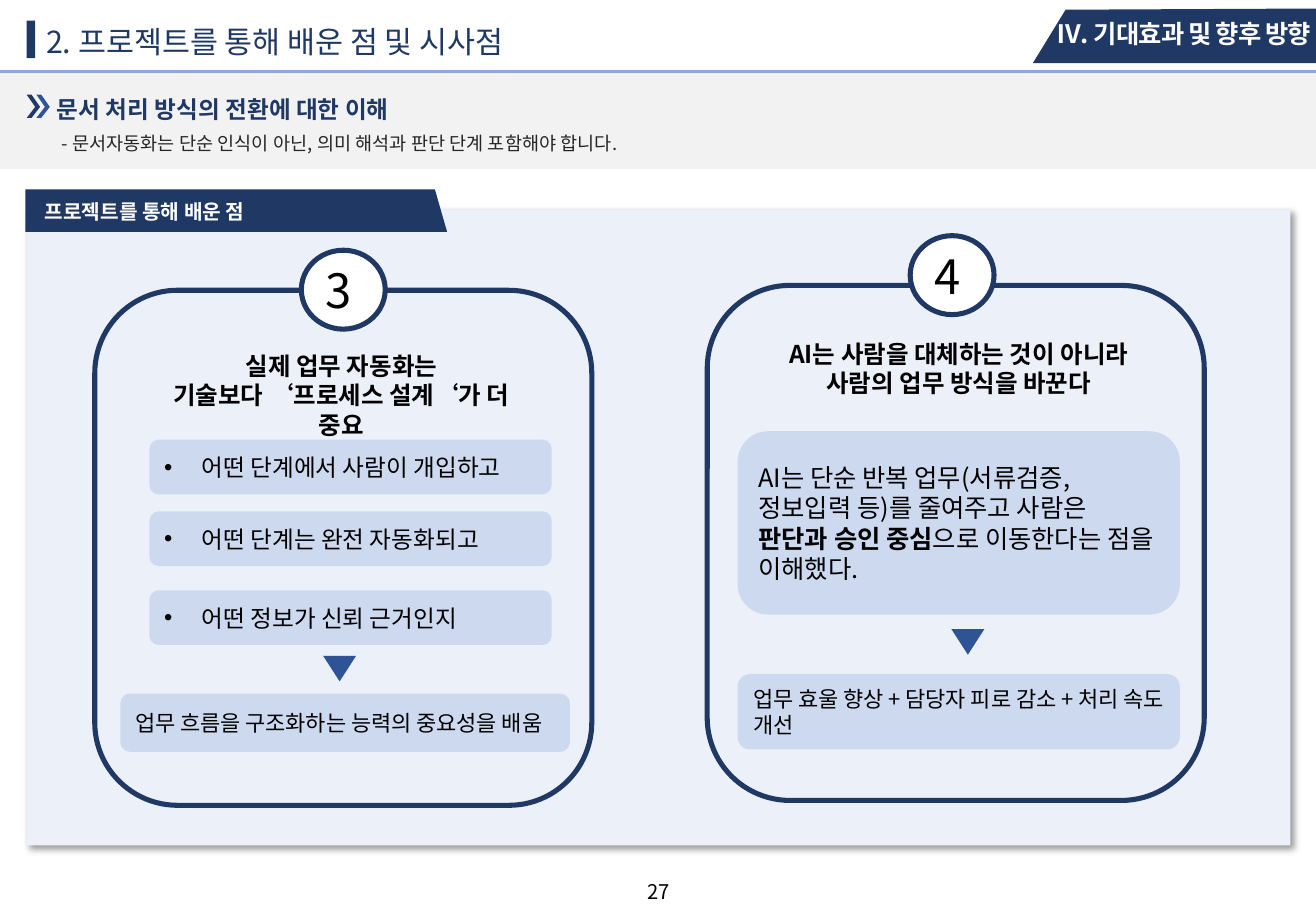
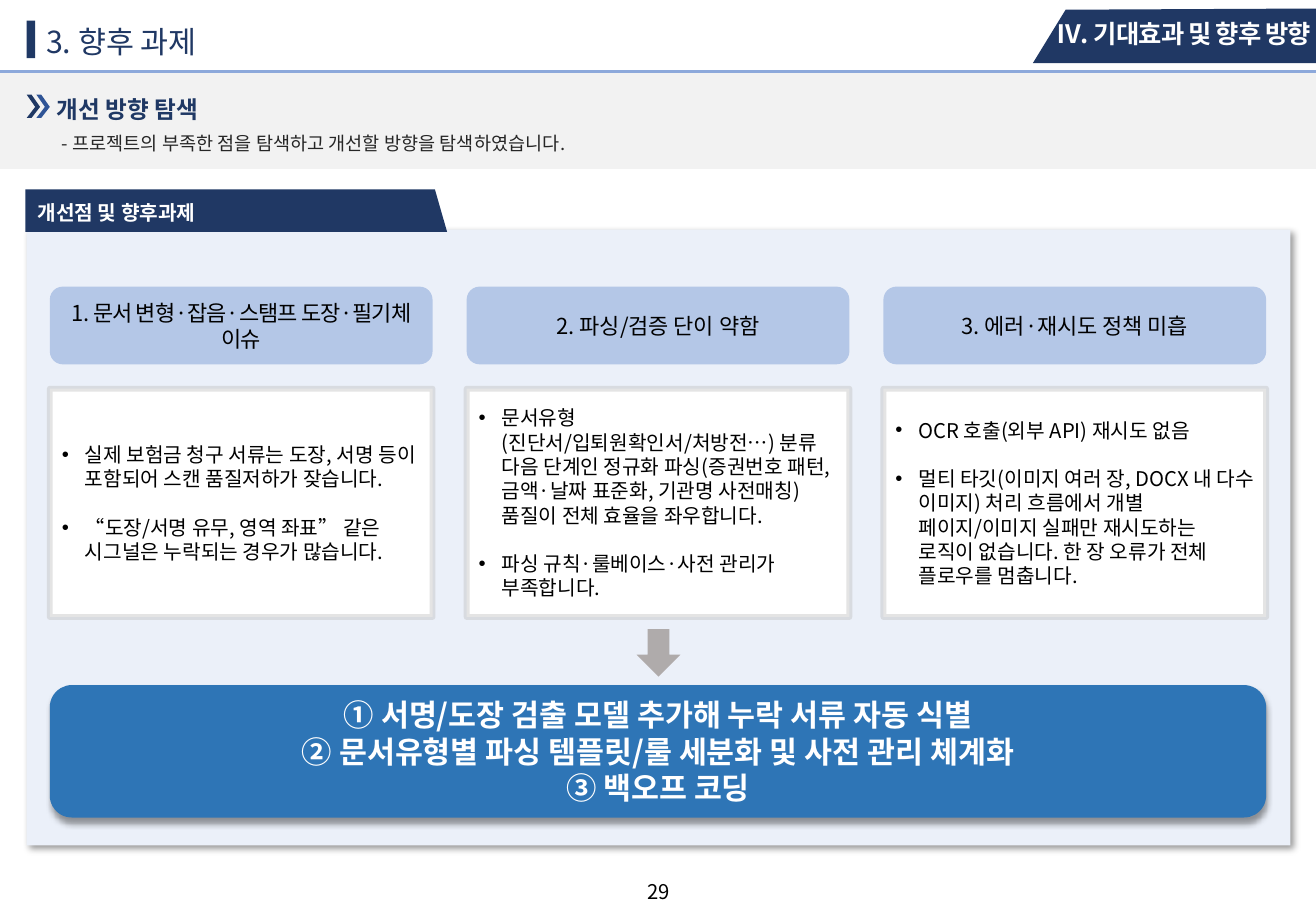
from lxml.etree import SubElement
from pptx import Presentation
from pptx.dml.color import RGBColor
from pptx.enum.shapes import MSO_CONNECTOR as Connector, MSO_SHAPE as Shape
from pptx.enum.text import MSO_ANCHOR as Anchor, MSO_AUTO_SIZE as AutoSize, PP_ALIGN as Align
from pptx.oxml.ns import qn
from pptx.util import Inches, Pt

FONT = "Noto Sans CJK KR"
COLORS = {
    "navy": "203864", "deep": "1F3864", "blue": "2F5496", "rule": "8DA9DB",
    "band": "F2F2F2", "panel": "EBF0F9", "soft": "CDD9EF", "head": "B4C7E7",
    "result": "2E75B6", "frame": "BFBFBF", "arrow": "AFABAB",
    "gray": "262626", "black": "000000", "white": "FFFFFF",
}
SECTION = "Ⅳ. 기대효과 및 향후 방향"


def rgb(color):
    return RGBColor.from_string(COLORS[color])


def set_all(target, values):
    for attribute, value in values.items():
        setattr(target, attribute, value)


def write(frame, paragraphs, size, color="black", bold=False, align=Align.LEFT,
          anchor=Anchor.MIDDLE, line_spacing=None, gap=0, bullet_indent=0,
          hanging=0, tracking=0, margins=(0.1, 0.05, 0.1, 0.05)):
    left, top, right, bottom = map(Inches, margins)
    set_all(frame, {
        "word_wrap": True, "auto_size": AutoSize.NONE, "vertical_anchor": anchor,
        "margin_left": left, "margin_top": top,
        "margin_right": right, "margin_bottom": bottom,
    })
    for index, text in enumerate(paragraphs):
        paragraph = frame.add_paragraph() if index else frame.paragraphs[0]
        indent = bullet_indent or hanging
        if indent:
            properties = paragraph._p.get_or_add_pPr()
            properties.set("marL", str(Inches(indent)))
            properties.set("indent", str(-Inches(indent)))
            if bullet_indent:
                SubElement(properties, qn("a:buFont"), typeface="Arial")
                SubElement(properties, qn("a:buChar"), char="•")
        set_all(paragraph, {"alignment": align, "line_spacing": line_spacing})
        if index and gap:
            paragraph.space_before = Pt(gap)
        for part, words in enumerate(text.split("**")):
            run = paragraph.add_run()
            run.text = words
            set_all(run.font, {"size": Pt(size), "bold": bold or part % 2 == 1, "name": FONT})
            run.font.color.rgb = rgb(color)
            properties = run._r.get_or_add_rPr()
            SubElement(properties, qn("a:ea"), typeface=FONT)
            if tracking:
                properties.set("spc", str(int(tracking * 100)))


def paint(shape, fill=None, line=None, line_width=3):
    shape.shadow.inherit = False
    if fill:
        shape.fill.solid()
        shape.fill.fore_color.rgb = rgb(fill)
    else:
        shape.fill.background()
    if line:
        shape.line.color.rgb = rgb(line)
        shape.line.width = Pt(line_width)
    else:
        shape.line.fill.background()
    return shape


def add_block(slide, kind, box, **look):
    return paint(slide.shapes.add_shape(kind, *map(Inches, box)), **look)


def add_box(slide, box, fill, paragraphs, size, **style):
    block = add_block(slide, Shape.ROUNDED_RECTANGLE, box, fill=fill)
    write(block.text_frame, paragraphs, size, **style)
    return block


def add_label(slide, box, paragraphs, size, **style):
    label = slide.shapes.add_textbox(*map(Inches, box))
    write(label.text_frame, paragraphs, size, anchor=Anchor.TOP, **style)


def add_outline(slide, points, fill):
    corners = [(Inches(x), Inches(y)) for x, y in points]
    builder = slide.shapes.build_freeform(*corners[0], scale=1.0)
    builder.add_line_segments(corners[1:], close=True)
    paint(builder.convert_to_shape(), fill=fill)


def add_opacity(color_element, percent):
    SubElement(color_element, qn("a:alpha"), val=str(percent * 1000))


def add_shadow(shape, angle):
    effects = shape._element.spPr.find(qn("a:effectLst"))
    shadow = SubElement(effects, qn("a:outerShdw"), blurRad=str(Pt(4)), dist=str(Pt(3)),
                        dir=str(angle * 60000), algn="tl", rotWithShape="0")
    add_opacity(SubElement(shadow, qn("a:srgbClr"), val=COLORS["black"]), 40)


def add_rule(slide, y, width):
    rule = slide.shapes.add_connector(
        Connector.STRAIGHT, 0, Inches(y), Inches(width), Inches(y))
    rule.line.color.rgb = rgb("rule")
    rule.line.width = Pt(2)
    SubElement(rule._element.spPr, qn("a:effectLst"))


def add_chevron(slide, left, fill):
    add_outline(slide, [(left, 0.78), (left + 0.04, 0.78), (left + 0.11, 0.88),
                        (left + 0.04, 0.97), (left, 0.97), (left + 0.07, 0.88)], fill)


def add_page(deck, title, heading, summary, panel_label, label_at, panel_top, number):
    slide = deck.slides.add_slide(deck.slide_layouts[5])
    heading_box = slide.shapes.title
    set_all(heading_box, {"left": Inches(0.28), "top": Inches(0.11),
                          "width": Inches(4.42), "height": Inches(0.43)})
    write(heading_box.text_frame, [title], 18, color="navy", anchor=Anchor.TOP,
          line_spacing=1.1)
    panel = add_block(slide, Shape.RECTANGLE, (0.22, panel_top, 10.4, 6.96 - panel_top),
                      fill="panel")
    add_shadow(panel, 45)
    add_block(slide, Shape.RECTANGLE, (0, 0.59, 10.83, 0.8), fill="band")
    add_rule(slide, 0.59, 10.83)
    add_block(slide, Shape.RECTANGLE, (0.22, 0.17, 0.07, 0.31), fill="deep")
    add_label(slide, (0.37, 0.71, 4.58, 0.37), [heading], 14, color="deep", bold=True,
              line_spacing=1.1)
    add_chevron(slide, 0.3, "blue")
    add_chevron(slide, 0.22, "deep")
    add_label(slide, (0.41, 1.04, 9.16, 0.32), [summary], 11, color="gray", hanging=0.09)
    add_outline(slide, [(8.77, 0.08), (10.83, 0.07), (10.83, 0.52), (8.5, 0.52)], "navy")
    add_label(slide, (8.21, 0.1, 2.68, 0.61), [SECTION], 15, color="white", bold=True,
              align=Align.RIGHT, tracking=-0.5)
    add_outline(slide, [(0.21, 1.56), (3.58, 1.56), (3.68, 1.91), (0.21, 1.91)], "navy")
    add_label(slide, (*label_at, 3.56, 0.32), [panel_label], 12, color="white", bold=True,
              line_spacing=1.1)
    add_label(slide, (4.2, 7.19, 2.44, 0.4), [number], 12, align=Align.CENTER)
    return slide


def add_lesson(slide, card_at, badge_at, number, headline_at, headline, pointer_at):
    add_block(slide, Shape.ROUNDED_RECTANGLE, (*card_at, 4.09, 4.24), line="navy")
    badge = add_block(slide, Shape.FLOWCHART_CONNECTOR, (*badge_at, 0.69, 0.65),
                      fill="white", line="navy")
    write(badge.text_frame, [number], 28, align=Align.CENTER, margins=(0, 0, 0.07, 0))
    add_label(slide, (*headline_at, 3.16, 0.59), headline, 14.5, bold=True,
              align=Align.CENTER, margins=(0, 0.05, 0, 0.05))
    pointer = add_block(slide, Shape.ISOSCELES_TRIANGLE, (*pointer_at, 0.27, 0.21),
                        fill="blue")
    pointer.rotation = 180


def add_issue(slide, left, heading, tracking, details):
    add_box(slide, (left, 2.36, 3.15, 0.64), "head", [heading], 13,
            align=Align.CENTER, tracking=tracking)
    detail = add_block(slide, Shape.RECTANGLE, (left, 3.2, 3.15, 1.88), fill="white",
                       line="frame", line_width=3.5)
    add_opacity(detail.line._ln.find(".//" + qn("a:srgbClr")), 42)
    write(detail.text_frame, details, 12, bullet_indent=0.19, gap=14.4)


def build_lessons(deck):
    slide = add_page(
        deck, "2. 프로젝트를 통해 배운 점 및 시사점", "문서 처리 방식의 전환에 대한 이해",
        "- 문서자동화는 단순 인식이 아닌, 의미 해석과 판단 단계 포함해야 합니다.",
        "프로젝트를 통해 배운 점", (0.27, 1.57), 1.73, "27")
    add_lesson(slide, (0.78, 2.39), (2.48, 2.06), "3", (1.23, 2.84),
               ["실제 업무 자동화는", "기술보다 ‘프로세스 설계‘가 더 중요"], (2.66, 5.4))
    questions = {3.62: "어떤 단계에서 사람이 개입하고", 4.21: "어떤 단계는 완전 자동화되고",
                 4.86: "어떤 정보가 신뢰 근거인지"}
    for top, question in questions.items():
        add_box(slide, (1.23, top, 3.31, 0.45), "soft", [question], 14, bullet_indent=0.31)
    add_box(slide, (0.99, 5.71, 3.7, 0.48), "soft",
            ["업무 흐름을 구조화하는 능력의 중요성을 배움"], 13)
    add_lesson(slide, (5.82, 2.35), (7.49, 1.94), "4", (6.31, 2.74),
               ["AI는 사람을 대체하는 것이 아니라", "사람의 업무 방식을 바꾼다"], (7.83, 5.18))
    add_box(slide, (6.07, 3.55, 3.64, 1.51), "soft",
            ["AI는 단순 반복 업무(서류검증, 정보입력 등)를 줄여주고 사람은 "
             "**판단과 승인 중심**으로 이동한다는 점을 이해했다."], 15)
    add_box(slide, (6.07, 5.55, 3.64, 0.62), "soft",
            ["업무 효울 향상 + 담당자 피로 감소 + 처리 속도 개선"], 13)


def build_future_work(deck):
    slide = add_page(
        deck, "3. 향후 과제", "개선 방향 탐색",
        "- 프로젝트의 부족한 점을 탐색하고 개선할 방향을 탐색하였습니다.",
        "개선점 및 향후과제", (0.21, 1.58), 1.89, "29")
    issues = [
        ("1. 문서 변형·잡음·스탬프 도장·필기체 이슈", -0.5,
         ["실제 보험금 청구 서류는 도장, 서명 등이 포함되어 스캔 품질저하가 잦습니다.",
          "“도장/서명 유무, 영역 좌표” 같은 시그널은 누락되는 경우가 많습니다."]),
        ("2. 파싱/검증 단이 약함", 0,
         ["문서유형(진단서/입퇴원확인서/처방전…) 분류 다음 단계인 정규화 파싱"
          "(증권번호 패턴, 금액·날짜 표준화, 기관명 사전매칭) 품질이 전체 효율을 좌우합니다.",
          "파싱 규칙·룰베이스·사전 관리가 부족합니다."]),
        ("3. 에러·재시도 정책 미흡", 0,
         ["OCR 호출(외부 API) 재시도 없음",
          "멀티 타깃(이미지 여러 장, DOCX 내 다수 이미지) 처리 흐름에서 개별 페이지/이미지 "
          "실패만 재시도하는 로직이 없습니다. 한 장 오류가 전체 플로우를 멈춥니다."]),
    ]
    for column, issue in enumerate(issues):
        add_issue(slide, 0.41 + 3.43 * column, *issue)
    plan = add_box(slide, (0.41, 5.64, 10.01, 1.09), "result",
                   ["① 서명/도장 검출 모델 추가해 누락 서류 자동 식별",
                    "② 문서유형별 파싱 템플릿/룰 세분화 및 사전 관리 체계화",
                    "③ 백오프 코딩"], 18, color="white", bold=True, align=Align.CENTER)
    add_shadow(plan, 90)
    add_block(slide, Shape.DOWN_ARROW, (5.24, 5.18, 0.36, 0.39), fill="arrow")


def main():
    deck = Presentation()
    set_all(deck, {"slide_width": Inches(10.83), "slide_height": Inches(7.5)})
    build_lessons(deck)
    build_future_work(deck)
    deck.save("out.pptx")


if __name__ == "__main__":
    main()
